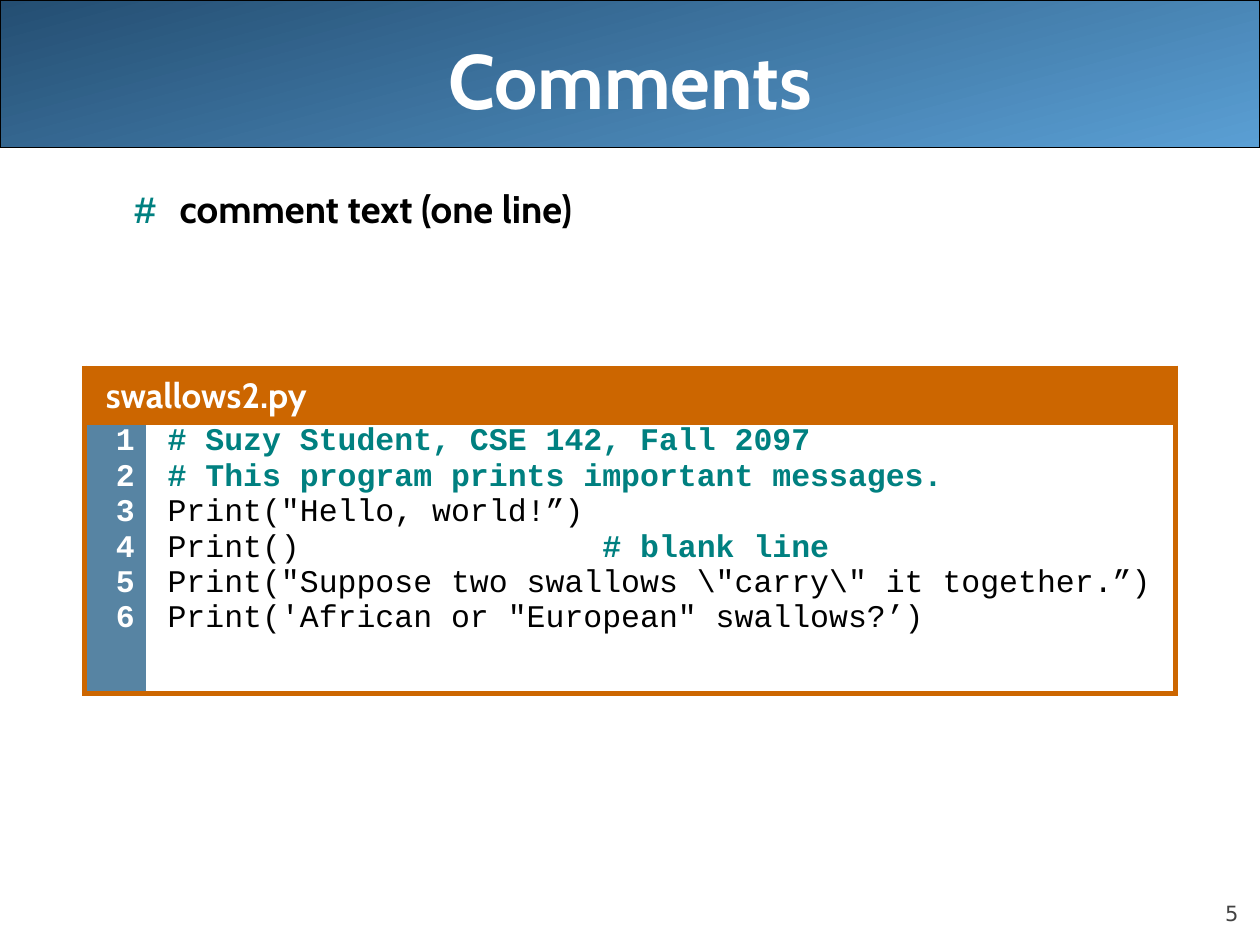
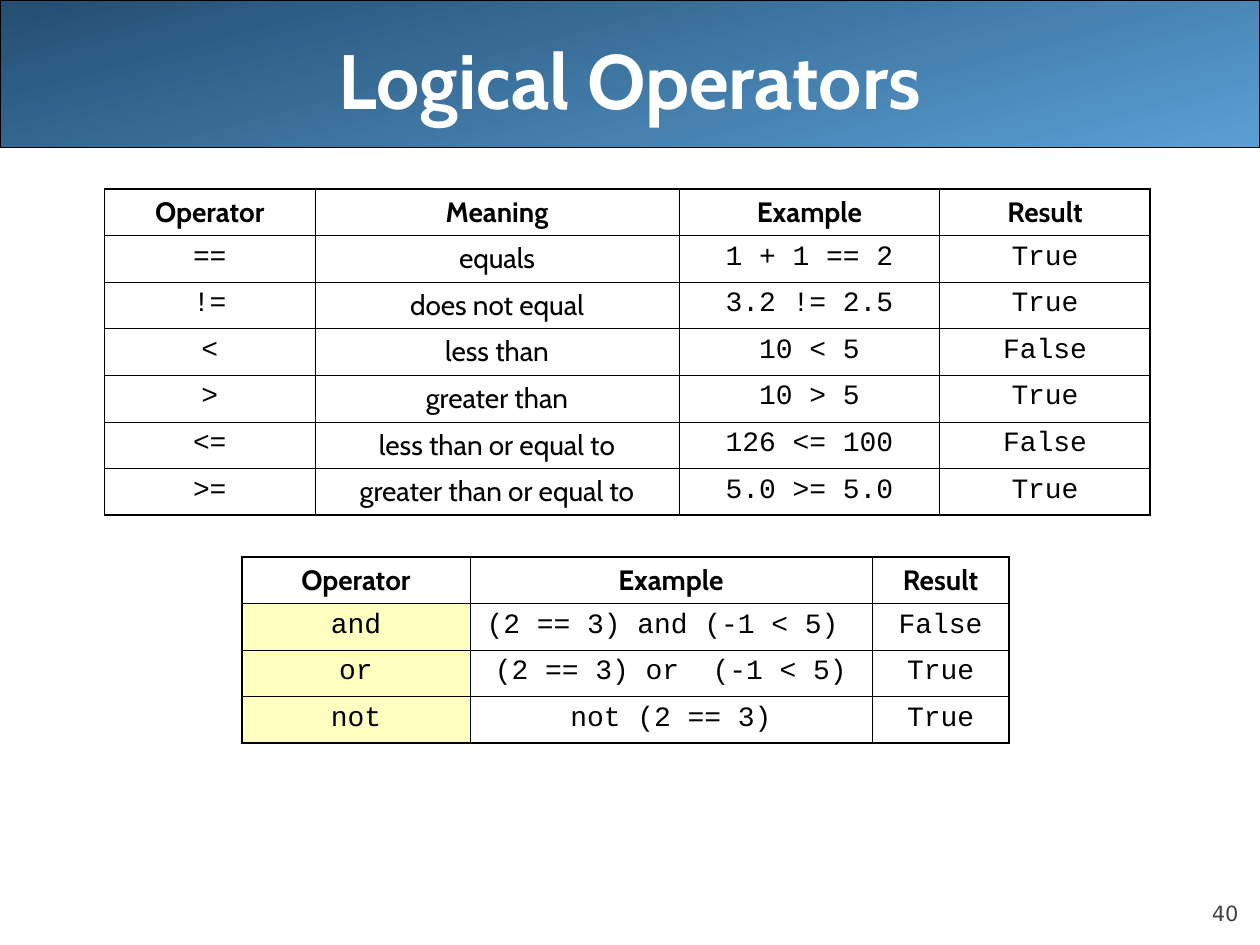
from lxml.etree import SubElement
from pptx import Presentation
from pptx.dml.color import RGBColor
from pptx.enum.shapes import MSO_SHAPE
from pptx.enum.text import MSO_ANCHOR, MSO_AUTO_SIZE, PP_ALIGN
from pptx.oxml import parse_xml
from pptx.oxml.ns import nsdecls, qn
from pptx.util import Inches, Pt

BODY_FONT, CODE_FONT, NUMBER_FONT = "Cabin", "Courier New", "DejaVu Sans"
BLACK, WHITE, GRAY = "000000", "FFFFFF", "424242"
BAND_DARK, BAND_LIGHT = "244E72", "5A9FD4"
ORANGE, GUTTER_BLUE, TEAL, YELLOW = "CC6600", "5784A3", "008080", "FFFFC0"
THICK, THIN = 1.08, 0.45
COMMENT = {"color": TEAL, "bold": True}

CODE = [
    [("# Suzy Student, CSE 142, Fall 2097", COMMENT)],
    [("# This program prints important messages.", COMMENT)],
    'Print("Hello, world!”)',
    ["Print()".ljust(23), ("# blank line", COMMENT)],
    r'Print("Suppose two swallows \"carry\" it together.”)',
    "Print('African or \"European\" swallows?’)",
]
COMPARISONS = [
    ("Operator", "Meaning", "Example", "Result"),
    ("==", "equals", "1 + 1 == 2", "True"),
    ("!=", "does not equal", "3.2 != 2.5", "True"),
    ("<", "less than", "10 < 5", "False"),
    (">", "greater than", "10 > 5", "True"),
    ("<=", "less than or equal to", "126 <= 100", "False"),
    (">=", "greater than or equal to", "5.0 >= 5.0", "True"),
]
LOGIC = [
    ("Operator", "Example", "Result"),
    ("and", "(2 == 3) and (-1 < 5) ", "False"),
    ("or", "(2 == 3) or  (-1 < 5)", "True"),
    ("not", "not (2 == 3)", "True"),
]


def rgb(value):
    """Return the colour for a hex string."""
    return RGBColor.from_string(value)


def write(tf, paragraphs, size=16, font=BODY_FONT, color=BLACK, bold=False,
          align=PP_ALIGN.LEFT, spacing=None, before=0, level=0,
          margin=0, indent=0):
    """Fill a text frame; each paragraph is a string or a list of runs."""
    for i, runs in enumerate(paragraphs):
        p = tf.add_paragraph() if i else tf.paragraphs[0]
        p.level, p.alignment = level, align
        p.space_before = Pt(before if i else 0)
        if spacing:
            p.line_spacing = spacing
        pPr = p._p.get_or_add_pPr()
        pPr.set("marL", str(Inches(margin)))
        pPr.set("indent", str(Inches(indent)))
        SubElement(pPr, qn("a:buNone"))
        for run in [runs] if isinstance(runs, str) else runs:
            text, own = (run, {}) if isinstance(run, str) else run
            r = p.add_run()
            r.text = text
            r.font.size = Pt(size)
            r.font.name = own.get("font", font)
            r.font.bold = own.get("bold", bold)
            r.font.color.rgb = rgb(own.get("color", color))


def set_insets(target, left, top, right, bottom):
    """Set the inner margins of a text frame or cell."""
    target.margin_left, target.margin_top = Inches(left), Inches(top)
    target.margin_right, target.margin_bottom = Inches(right), Inches(bottom)


def place(shape, left, top, width, height):
    """Move and size a shape."""
    shape.left, shape.top = Inches(left), Inches(top)
    shape.width, shape.height = Inches(width), Inches(height)


def style_cell(cell, fill=None, color=BLACK, **widths):
    """Set a cell's fill and its L, R, T and B border widths."""
    if fill:
        cell.fill.solid()
        cell.fill.fore_color.rgb = rgb(fill)
    else:
        cell.fill.background()
    tcPr = cell._tc.get_or_add_tcPr()
    for i, side in enumerate("LRTB"):
        width = widths.get(side, 0)
        paint = (f'<a:solidFill><a:srgbClr val="{color}"/></a:solidFill>'
                 if width else "<a:noFill/>")
        tcPr.insert(i, parse_xml(
            f'<a:ln{side} {nsdecls("a")} w="{Pt(width)}">{paint}</a:ln{side}>'))


def add_grid(s, left, top, columns, rows):
    """Add an unbanded table with the given column widths and row heights."""
    table = s.shapes.add_table(
        len(rows), len(columns), Inches(left), Inches(top),
        Inches(sum(columns)), Inches(sum(rows))).table
    table.first_row = table.horz_banding = False
    for column, width in zip(table.columns, columns):
        column.width = Inches(width)
    for row, height in zip(table.rows, rows):
        row.height = Inches(height)
    return table


def add_base(prs, layout, title, number):
    """Add a slide with the shared band, title and slide number."""
    s = prs.slides.add_slide(prs.slide_layouts[layout])
    band = s.shapes.add_shape(MSO_SHAPE.RECTANGLE, 0, 0, prs.slide_width, Inches(1.17))
    band.shadow.inherit = False
    band.fill.gradient()
    band.fill.gradient_angle = 285
    for stop, position, color in zip(band.fill.gradient_stops, (0, 1),
                                     (BAND_DARK, BAND_LIGHT)):
        stop.position, stop.color.rgb = position, rgb(color)
    band.line.color.rgb, band.line.width = rgb(BLACK), Pt(0.75)
    heading = s.shapes.title
    heading.element.addprevious(band.element)
    place(heading, 0.5, 0, 9, 1.25)
    tf = heading.text_frame
    tf.auto_size, tf.vertical_anchor = MSO_AUTO_SIZE.NONE, MSO_ANCHOR.MIDDLE
    write(tf, [title], size=44, color=WHITE, bold=True, align=PP_ALIGN.CENTER)
    tf = s.shapes.add_textbox(Inches(9), Inches(6.95), Inches(0.83), Inches(0.4)).text_frame
    tf.word_wrap, tf.vertical_anchor = True, MSO_ANCHOR.BOTTOM
    set_insets(tf, 0, 0, 0, 0)
    write(tf, [str(number)], size=12, font=NUMBER_FONT, color=GRAY, align=PP_ALIGN.RIGHT)
    return s


def add_listing(s, left, top, filename, code):
    """Add a framed code listing with a file name and line numbers."""
    table = add_grid(s, left, top, (0.49, 8.17), (0.42, 2.15))
    header, header_end = table.rows[0].cells
    numbers, source = table.rows[1].cells
    header.merge(header_end)
    for cell, fill, sides, right in ((header, ORANGE, "LRTB", 0.05),
                                     (header_end, ORANGE, "LRTB", 0.05),
                                     (numbers, GUTTER_BLUE, "LTB", 0.09),
                                     (source, WHITE, "RTB", 0.18)):
        style_cell(cell, fill, ORANGE, **dict.fromkeys(sides, 3))
        set_insets(cell, 0.05, 0.05, right, 0.05)
    write(header.text_frame, [filename], size=20, color=WHITE, bold=True, margin=0.12)
    lines = dict(size=18, font=CODE_FONT, spacing=0.77, before=4.5, margin=0.12)
    write(numbers.text_frame, [str(n) for n in range(1, len(code) + 1)],
          color=WHITE, bold=True, align=PP_ALIGN.RIGHT, **lines)
    write(source.text_frame, code, **lines)


def add_operators(s, left, top, columns, data, operator_fill=None):
    """Add a table of operators with a thick frame and thin inner lines."""
    last_row, last_column = len(data) - 1, len(columns) - 1
    table = add_grid(s, left, top, columns, [0.37] * len(data))
    for i, row in enumerate(data):
        for j, text in enumerate(row):
            cell = table.cell(i, j)
            edges = {"L": j == 0, "R": j == last_column, "T": i == 0, "B": i == last_row}
            style_cell(cell, operator_fill if i and j == 0 else None,
                       **{side: THICK if outer else THIN for side, outer in edges.items()})
            set_insets(cell, 0.1, 0.05, 0.1, 0.05)
            prose = i == 0 or data[0][j] == "Meaning"
            write(cell.text_frame, [text], font=BODY_FONT if prose else CODE_FONT,
                  bold=i == 0, align=PP_ALIGN.CENTER)


def add_comments_slide(prs):
    """Add the slide on comments."""
    s = add_base(prs, 1, "Comments", 5)
    body = s.placeholders[1]
    place(body, 0.33, 1.42, 9.5, 5.42)
    body.text_frame.auto_size = MSO_AUTO_SIZE.NONE
    write(body.text_frame,
          [[("# ", {"font": CODE_FONT, "color": TEAL}), "comment text (one line)"]],
          size=22, bold=True, level=1, margin=0.94, indent=-0.31)
    add_listing(s, 0.67, 2.92, "swallows2.py", CODE)


def add_operators_slide(prs):
    """Add the slide on logical operators."""
    s = add_base(prs, 5, "Logical Operators", 40)
    add_operators(s, 0.83, 1.5, (1.67, 2.89, 2.07, 1.67), COMPARISONS)
    add_operators(s, 1.92, 4.42, (1.81, 3.19, 1.09), LOGIC, YELLOW)


def main():
    """Build and save the presentation."""
    prs = Presentation()
    prs.slide_width, prs.slide_height = Inches(10), Inches(7.5)
    add_comments_slide(prs)
    add_operators_slide(prs)
    prs.save("out.pptx")


if __name__ == "__main__":
    main()
